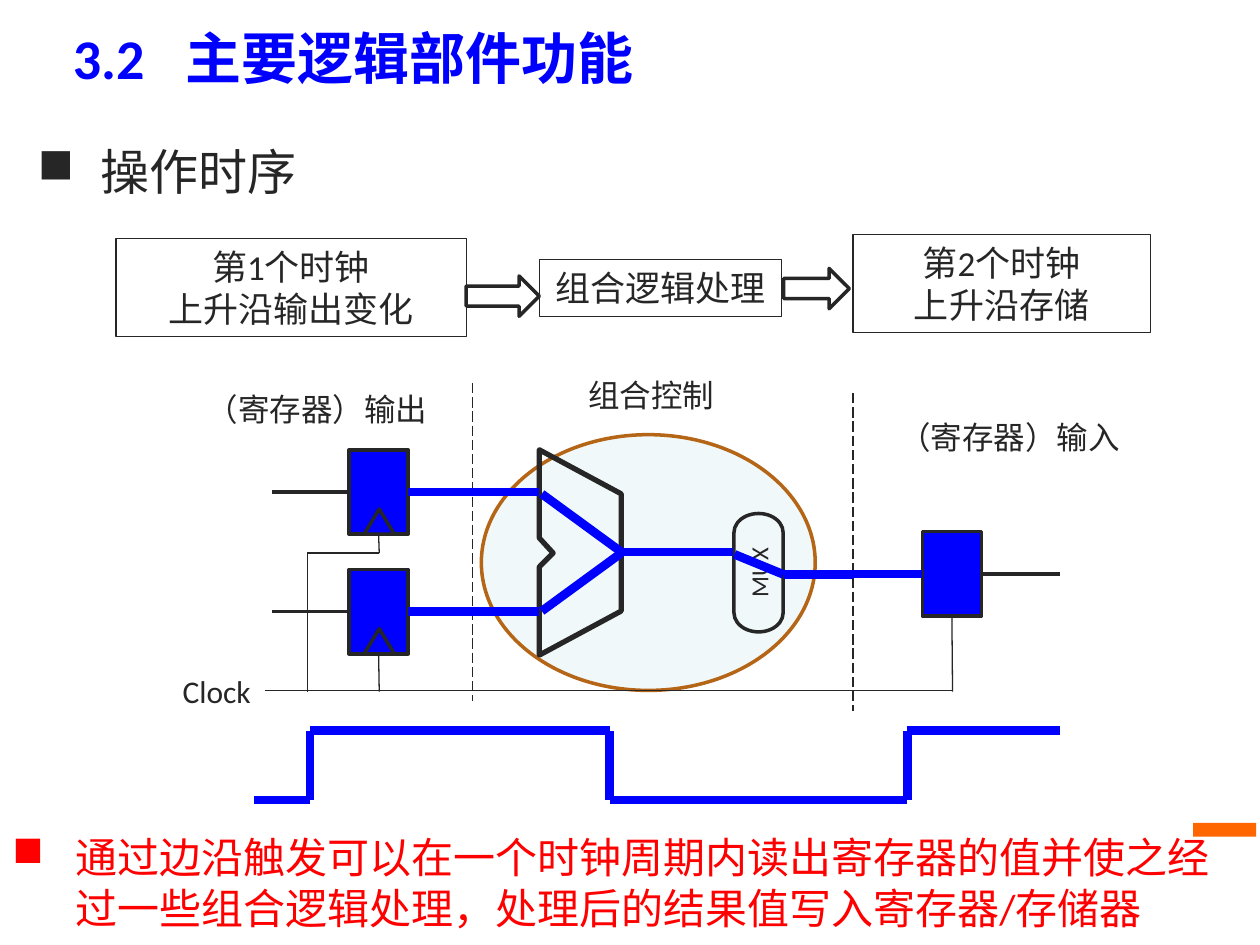
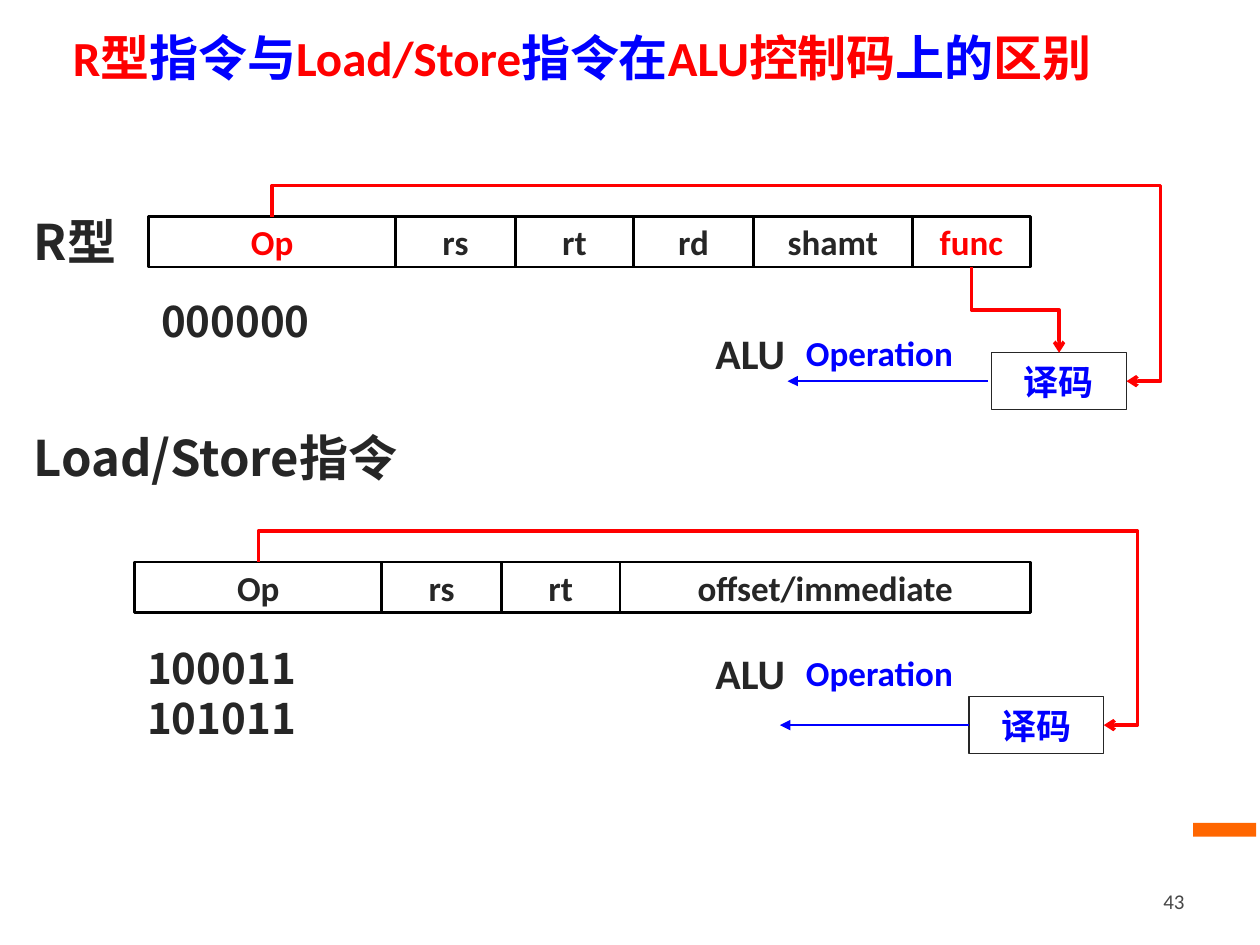
"""Build two slides on datapath timing and ALU control decoding."""
import pptx
import pptx.dml.color
import pptx.enum.dml
import pptx.enum.shapes
import pptx.enum.text
import pptx.oxml
import pptx.oxml.ns
import pptx.util

Inches = pptx.util.Inches
Pt = pptx.util.Pt
Color = pptx.dml.color.RGBColor
SHAPE = pptx.enum.shapes.MSO_SHAPE
CONNECTOR = pptx.enum.shapes.MSO_CONNECTOR
ALIGN = pptx.enum.text.PP_ALIGN
qn = pptx.oxml.ns.qn

BLUE = Color(0x00, 0x00, 0xFF)
RED = Color(0xFF, 0x00, 0x00)
INK = Color(0x26, 0x26, 0x26)
GRAY = Color(0x47, 0x47, 0x47)
ORANGE = Color(0xFF, 0x66, 0x00)
BROWN = Color(0xB5, 0x65, 0x16)
PALE = Color(0xDB, 0xEE, 0xF4)
WHITE = Color(0xFF, 0xFF, 0xFF)
BLACK = Color(0x00, 0x00, 0x00)
LATIN, CHINESE = "Calibri", "Noto Sans CJK SC"
TOP, LEFT, BOTTOM, RIGHT = range(4)

TIMING_TITLE = [("3.2\t主要逻辑部件功能", BLUE)]
TIMING_BULLETS = [
    ("操作时序", (0.2, 1.07, 7.25, 0.58), 28, INK),
    ("通过边沿触发可以在一个时钟周期内读出寄存器的值并使之经过一些组合逻辑处理，"
     "处理后的结果值写入寄存器/存储器", (0, 6.54, 9.84, 0.92), 24, RED),
]
STAGES = [
    (["第1个时钟", "上升沿输出变化"], (0.92, 1.89, 2.78, 0.78)),
    (["组合逻辑处理"], (4.28, 2.06, 1.92, 0.45)),
    (["第2个时钟", "上升沿存储"], (6.77, 1.86, 2.36, 0.78)),
]
STAGE_ARROWS = [(3.7, 2.19, 0.58, 0.32), (6.22, 2.13, 0.52, 0.32)]
TIMING_LABELS = [
    ("组合控制", (4.28, 2.93, 1.78, 0.41), ALIGN.CENTER),
    ("Clock", (1.33, 5.28, 0.78, 0.41), ALIGN.CENTER),
    ("（寄存器）输出", (1.37, 3.04, 2.12, 0.41), ALIGN.RIGHT),
    ("（寄存器）输入", (7.04, 3.26, 2.12, 0.41), ALIGN.LEFT),
]
SOURCE_TOPS = [3.57, 4.52]
REGISTER_SIZE = (0.47, 0.67)
TARGET_REGISTER = (7.32, 4.22)
ALU_OUTLINE = [(4.28, 3.57), (4.93, 3.92), (4.93, 4.85), (4.28, 5.2),
               (4.28, 4.5), (4.39, 4.39), (4.28, 4.27)]
CLOCK_NET = [[(2.1, 5.48), (7.56, 5.48)], [(3.01, 4.39), (2.44, 4.39), (2.44, 5.49)]]
STAGE_BORDERS = [(3.75, 3.04), (6.77, 3.12)]
BORDER_LENGTH = 2.52
DATA_PATHS = [
    [(4.3, 3.92), (4.93, 4.38), (5.82, 4.38)],
    [(4.3, 4.85), (4.93, 4.39)],
    [(5.83, 4.4), (6.22, 4.56), (6.77, 4.56)],
]
CLOCK_LOW, CLOCK_HIGH = 6.35, 5.8
CLOCK_START, CLOCK_EDGES, CLOCK_END = 2.02, [2.46, 4.84, 7.2], 8.41

DECODING_TITLE = [("R型", RED), ("指令与", BLUE), ("Load/Store", RED), ("指令在", BLUE),
                  ("ALU控制码", RED), ("上的", BLUE), ("区别", RED)]
FIELD_HEIGHT = 0.4
FORMATS = [
    {"name": "R型", "name_at": (0.17, 1.54, 1.8, 0.75), "left": 1.18, "top": 1.72,
     "fields": [("Op", 1.96, RED), ("rs", 0.95, INK), ("rt", 0.94, INK),
                ("rd", 0.95, INK), ("shamt", 1.26, INK), ("func", 0.94, RED)],
     "codes": ["000000"], "codes_at": (1.18, 2.29, 1.96, 0.51),
     "decoder": (7.87, 2.8), "alu_top": 2.55, "arrow": (7.84, 6.25)},
    {"name": "Load/Store指令", "name_at": (0.17, 3.25, 3.44, 0.75), "left": 1.07, "top": 4.46,
     "fields": [("Op", 1.96, INK), ("rs", 0.95, INK), ("rt", 0.94, INK),
                ("offset/immediate", 3.26, INK)],
     "codes": ["100011", "101011"], "codes_at": (1.07, 5.02, 1.96, 0.96),
     "decoder": (7.69, 5.53), "alu_top": 5.09, "arrow": (7.69, 6.19)},
]
DECODER_SIZE = (1.07, 0.45)
PAGE_NUMBER = "43"


def write(box, lines, size, align=ALIGN.LEFT, bold=False, font=LATIN, bullet=False, tab=None):
    """Fill a box with lines, each a list of (text, colour) spans."""
    frame = box.text_frame
    frame.word_wrap = True
    frame.vertical_anchor = pptx.enum.text.MSO_ANCHOR.MIDDLE
    for number, spans in enumerate(lines):
        para = frame.paragraphs[0] if number == 0 else frame.add_paragraph()
        para.alignment = align
        properties = para._p.get_or_add_pPr()
        if bullet:
            properties.set("marL", str(Inches(0.5)))
            properties.set("indent", str(Inches(-0.5)))
            properties.append(properties.makeelement(qn("a:buChar"), {"char": "■"}))
        if tab:
            stops = properties.makeelement(qn("a:tabLst"), {})
            stops.append(stops.makeelement(qn("a:tab"), {"pos": str(Inches(tab)), "algn": "l"}))
            properties.append(stops)
        for text, color in spans:
            span = para.add_run()
            span.text = text
            span.font.size = Pt(size)
            span.font.bold = bold
            span.font.name = font
            span.font.color.rgb = color
            latin = span._r.rPr.find(qn("a:latin"))
            latin.addnext(latin.makeelement(qn("a:ea"), {"typeface": CHINESE}))


def add_text(page, at, lines, size, **style):
    """Add a text box."""
    write(page.shapes.add_textbox(*map(Inches, at)), lines, size, **style)


def add_box(page, kind, at, fill=None, line=INK, width=2):
    """Add a preset shape with plain fill and outline."""
    box = page.shapes.add_shape(kind, *map(Inches, at))
    paint(box, fill, line, width)
    return box


def paint(box, fill, line, width):
    """Set the fill and outline of a shape."""
    box.shadow.inherit = False
    if fill is None:
        box.fill.background()
    else:
        box.fill.solid()
        box.fill.fore_color.rgb = fill
    if line is None:
        box.line.fill.background()
    else:
        box.line.color.rgb = line
        box.line.width = Pt(width)


def add_line(page, start, end, color=INK, width=0.75, kind=CONNECTOR.STRAIGHT,
             dashed=False, arrow=None):
    """Add a connector without a shadow."""
    line = page.shapes.add_connector(kind, *map(Inches, (*start, *end)))
    line.line.color.rgb = color
    line.line.width = Pt(width)
    if dashed:
        line.line.dash_style = pptx.enum.dml.MSO_LINE.LONG_DASH
    outline = line.line._get_or_add_ln()
    if arrow:
        outline.append(outline.makeelement(qn("a:tailEnd"), {"type": arrow}))
    outline.addnext(outline.makeelement(qn("a:effectLst"), {}))
    return line


def add_elbow(page, start, end, preset, adjustments):
    """Add a red bent arrow that leaves its start vertically."""
    line = add_line(page, start, end, RED, 2, CONNECTOR.ELBOW, arrow="arrow")
    across, down = end[0] - start[0], end[1] - start[1]
    line.left = Inches((start[0] + end[0] - down) / 2)
    line.top = Inches((start[1] + end[1] - across) / 2)
    line.width, line.height = Inches(down), Inches(across)
    frame = line._element.spPr.find(qn("a:xfrm"))
    frame.set("rot", str(270 * 60000))
    frame.set("flipH", "1")
    geometry = line._element.spPr.find(qn("a:prstGeom"))
    geometry.set("prst", preset)
    guides = geometry.get_or_add_avLst()
    for number, value in enumerate(adjustments, 1):
        guides.append(guides.makeelement(
            qn("a:gd"), {"name": f"adj{number}", "fmla": f"val {round(value * 100000)}"}))


def trace(page, points, color=INK, width=0.75):
    """Join successive points with straight lines."""
    for start, end in zip(points, points[1:]):
        add_line(page, start, end, color, width)


def add_page(deck, title, size, tab=None):
    """Add a page with the shared title and orange mark."""
    page = deck.slides.add_slide(deck.slide_layouts[6])
    add_box(page, SHAPE.RECTANGLE, (9.47, 6.53, 0.5, 0.11), ORANGE, None)
    add_text(page, (0.48, 0.08, 9.19, 0.75), [title], size, bold=True, tab=tab)
    return page


def draw_registers(page):
    """Draw the registers with the wires joined to their sides."""
    width, height = REGISTER_SIZE
    for top, clock_end in zip(SOURCE_TOPS, (4.39, 5.49)):
        register = add_box(page, SHAPE.RECTANGLE, (2.77, top, width, height), BLUE)
        add_box(page, SHAPE.FLOWCHART_EXTRACT, (2.89, top + 0.47, 0.24, 0.2), BLUE)
        middle = top + height / 2
        add_line(page, (2.16, middle), (2.77, middle), width=2).end_connect(register, LEFT)
        add_line(page, (3.24, middle), (4.28, middle), BLUE, 5).begin_connect(register, RIGHT)
        add_line(page, (3.01, top + height), (3.01, clock_end)).begin_connect(register, BOTTOM)
    left, top = TARGET_REGISTER
    middle = top + height / 2
    register = add_box(page, SHAPE.RECTANGLE, (left, top, width, height), BLUE)
    add_line(page, (6.77, middle), (left, middle), BLUE, 5).end_connect(register, LEFT)
    add_line(page, (left + width, middle), (8.41, middle), width=2).begin_connect(register, RIGHT)
    add_line(page, (7.56, top + height), (7.56, 5.49)).begin_connect(register, BOTTOM)


def draw_logic(page):
    """Draw the combinational block with its ALU and multiplexer."""
    cloud = add_box(page, SHAPE.OVAL, (3.82, 3.45, 2.65, 2.03), PALE, BROWN)
    tint = cloud._element.spPr.find(qn("a:solidFill"))[0]
    tint.append(tint.makeelement(qn("a:alpha"), {"val": "37000"}))
    corners = [(Inches(x), Inches(y)) for x, y in ALU_OUTLINE]
    builder = page.shapes.build_freeform(*corners[0])
    builder.add_line_segments(corners[1:], close=True)
    paint(builder.convert_to_shape(), None, INK, 3)
    mux = add_box(page, SHAPE.FLOWCHART_TERMINATOR, (5.55, 4.35, 0.94, 0.39))
    mux.rotation = 270
    write(mux, [[("MUX", INK)]], 14, align=ALIGN.CENTER)


def build_timing(deck):
    """Build the page on operation timing."""
    page = add_page(deck, TIMING_TITLE, 32, tab=0.89)
    draw_logic(page)
    for net in CLOCK_NET:
        trace(page, net)
    for x, y in STAGE_BORDERS:
        add_line(page, (x, y), (x, y + BORDER_LENGTH), dashed=True)
    draw_registers(page)
    for path in DATA_PATHS:
        trace(page, path, BLUE, 5)
    wave, level, following = [(CLOCK_START, CLOCK_LOW)], CLOCK_LOW, CLOCK_HIGH
    for edge in CLOCK_EDGES:
        wave += [(edge, level), (edge, following)]
        level, following = following, level
    trace(page, wave + [(CLOCK_END, level)], BLUE, 5)
    for lines, at in STAGES:
        stage = add_box(page, SHAPE.RECTANGLE, at, width=0.75)
        write(stage, [[(line, INK)] for line in lines], 20, align=ALIGN.CENTER)
    for at in STAGE_ARROWS:
        add_box(page, SHAPE.RIGHT_ARROW, at)
    for text, at, align in TIMING_LABELS:
        add_text(page, at, [[(text, INK)]], 18, align=align)
    for text, at, size, color in TIMING_BULLETS:
        add_text(page, at, [[(text, color)]], size, bullet=True)


def draw_format(page, layout):
    """Draw one instruction format with its decoder."""
    left, top = layout["left"], layout["top"]
    centers = {}
    for name, width, color in layout["fields"]:
        field = add_box(page, SHAPE.RECTANGLE, (left, top, width, FIELD_HEIGHT),
                        WHITE, BLACK, 1.5)
        write(field, [[(name, color)]], 20, align=ALIGN.CENTER, bold=True)
        centers[name] = left + width / 2
        left += width
    x, y = layout["decoder"]
    width, height = DECODER_SIZE
    middle = y + height / 2
    decoder = add_box(page, SHAPE.RECTANGLE, (x, y, width, height), width=0.75)
    write(decoder, [[("译码", BLUE)]], 20, align=ALIGN.CENTER, bold=True)
    add_elbow(page, (centers["Op"], top), (x + width, middle), "bentConnector4", (-0.19, 1.04))
    if "func" in centers:
        add_elbow(page, (centers["func"], top + FIELD_HEIGHT), (x + width / 2, y),
                  "bentConnector3", (0.5,))
    start, end = layout["arrow"]
    arrow = add_line(page, (start, middle), (end, middle), BLUE, 1.5, arrow="triangle")
    if start == x:
        arrow.begin_connect(decoder, LEFT)
    add_text(page, layout["name_at"], [[(layout["name"], INK)]], 28, bold=True, font=CHINESE)
    add_text(page, layout["codes_at"], [[(code, INK)] for code in layout["codes"]], 24,
             bold=True, font=CHINESE)
    alu_top = layout["alu_top"]
    add_text(page, (5.58, alu_top, 0.88, 0.5), [[("ALU", INK)]], 24, bold=True)
    add_text(page, (6.25, alu_top + 0.02, 1.46, 0.45), [[("Operation", BLUE)]], 20,
             align=ALIGN.CENTER, bold=True)


def build_decoding(deck):
    """Build the page on ALU control codes."""
    page = add_page(deck, DECODING_TITLE, 28)
    for layout in FORMATS:
        draw_format(page, layout)
    add_text(page, (7.17, 6.95, 2.33, 0.4), [[(PAGE_NUMBER, GRAY)]], 12, align=ALIGN.RIGHT)


def main():
    """Build and save the deck."""
    deck = pptx.Presentation()
    deck.slide_width, deck.slide_height = Inches(10), Inches(7.5)
    build_timing(deck)
    build_decoding(deck)
    deck.save("out.pptx")


if __name__ == "__main__":
    main()
